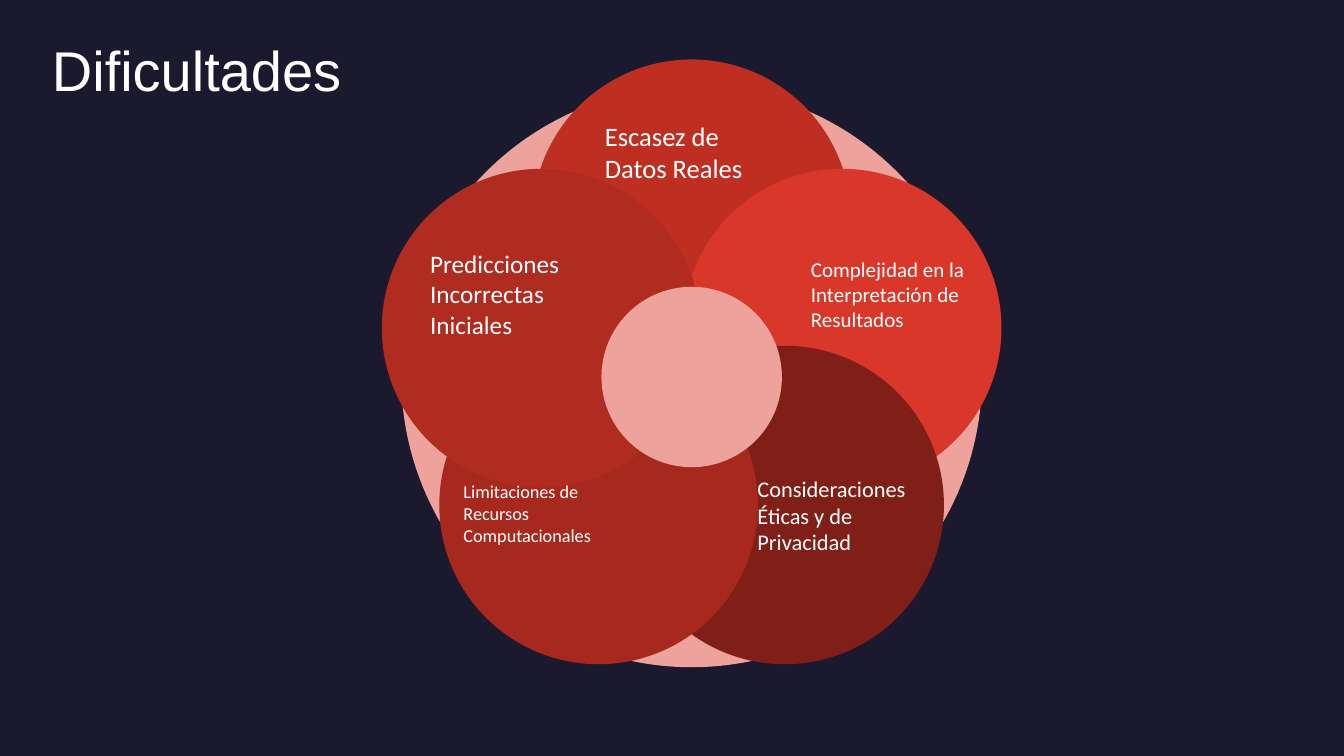
import math

from pptx import Presentation
from pptx.dml.color import RGBColor
from pptx.enum.shapes import MSO_SHAPE
from pptx.enum.text import MSO_ANCHOR, PP_ALIGN
from pptx.util import Pt

PX = 9144
OVAL = MSO_SHAPE.OVAL
TOP, MIDDLE = MSO_ANCHOR.TOP, MSO_ANCHOR.MIDDLE
LEFT, CENTER = PP_ALIGN.LEFT, PP_ALIGN.CENTER

COLORS = {
    "background": "1B192E",
    "text": "FFFFFF",
    "ring": "EDA29B",
    "top": "BE2F22",
    "right": "D83729",
    "lower_right": "801F17",
    "lower_left": "A7291E",
    "left": "B02B20",
}
TITLE_FORMAT = {"name": "Arial", "size": Pt(40)}

PETALS = [
    ("top", "Escasez de Datos Reales", 19, (59, 44)),
    ("right", "Complejidad en la Interpretación de Resultados", 15, (114, 76)),
    ("lower_right", "Consideraciones Éticas y de Privacidad", 16, (118, 120)),
    ("lower_left", "Limitaciones de Recursos Computacionales", 13, (11, 118)),
    ("left", "Predicciones Incorrectas Iniciales", 18, (35, 76)),
]
PETAL_SIZE = 316
HUB_SIZE = 179
ORBIT = 157
LABEL_WIDTH, LABEL_HEIGHT = 194, 96


def color(name):
    return RGBColor.from_string(COLORS[name])


def emu(*lengths):
    return [round(length * PX) for length in lengths]


def add_circle(page, center_x, center_y, size, fill):
    left, top = center_x - size / 2, center_y - size / 2
    circle = page.shapes.add_shape(OVAL, *emu(left, top, size, size))
    circle.shadow.inherit = False
    circle.fill.solid()
    circle.fill.fore_color.rgb = color(fill)
    circle.line.fill.background()


def add_text(page, box, text, font_format, margins, anchor, alignment):
    frame = page.shapes.add_textbox(*emu(*box)).text_frame
    frame.word_wrap = True
    frame.vertical_anchor = anchor
    for side, margin in zip(("left", "top", "right", "bottom"), emu(*margins)):
        setattr(frame, f"margin_{side}", margin)
    para = frame.paragraphs[0]
    para.alignment = alignment
    span = para.add_run()
    span.text = text
    for attribute, value in font_format.items():
        setattr(span.font, attribute, value)
    span.font.color.rgb = color("text")


def add_title(page, box):
    add_text(page, box, "Dificultades", TITLE_FORMAT, (10, 5, 10, 5), TOP, CENTER)


def add_flower(page, box):
    left, top, width, height = box
    center_x, center_y = left + width / 2, top + height / 2
    add_circle(page, center_x, center_y, width, "ring")
    for index, (fill, text, size, (label_x, label_y)) in enumerate(PETALS):
        angle = math.tau * index / len(PETALS)
        petal_x = center_x + ORBIT * math.sin(angle)
        petal_y = center_y - ORBIT * math.cos(angle)
        add_circle(page, petal_x, petal_y, PETAL_SIZE, fill)
        label_box = (petal_x - PETAL_SIZE / 2 + label_x,
                     petal_y - PETAL_SIZE / 2 + label_y,
                     LABEL_WIDTH, LABEL_HEIGHT)
        label_format = {"name": "Calibri", "size": Pt(size)}
        add_text(page, label_box, text, label_format, (13,) * 4, MIDDLE, LEFT)
    add_circle(page, center_x, center_y, HUB_SIZE, "ring")


def main():
    deck = Presentation()
    deck.slide_width, deck.slide_height = emu(1333, 750)
    page = deck.slides.add_slide(deck.slide_layouts[6])
    page.background.fill.solid()
    page.background.fill.fore_color.rgb = color("background")
    add_title(page, (20, 30, 350, 106))
    add_flower(page, (398, 86, 576, 576))
    deck.save("out.pptx")


if __name__ == "__main__":
    main()
